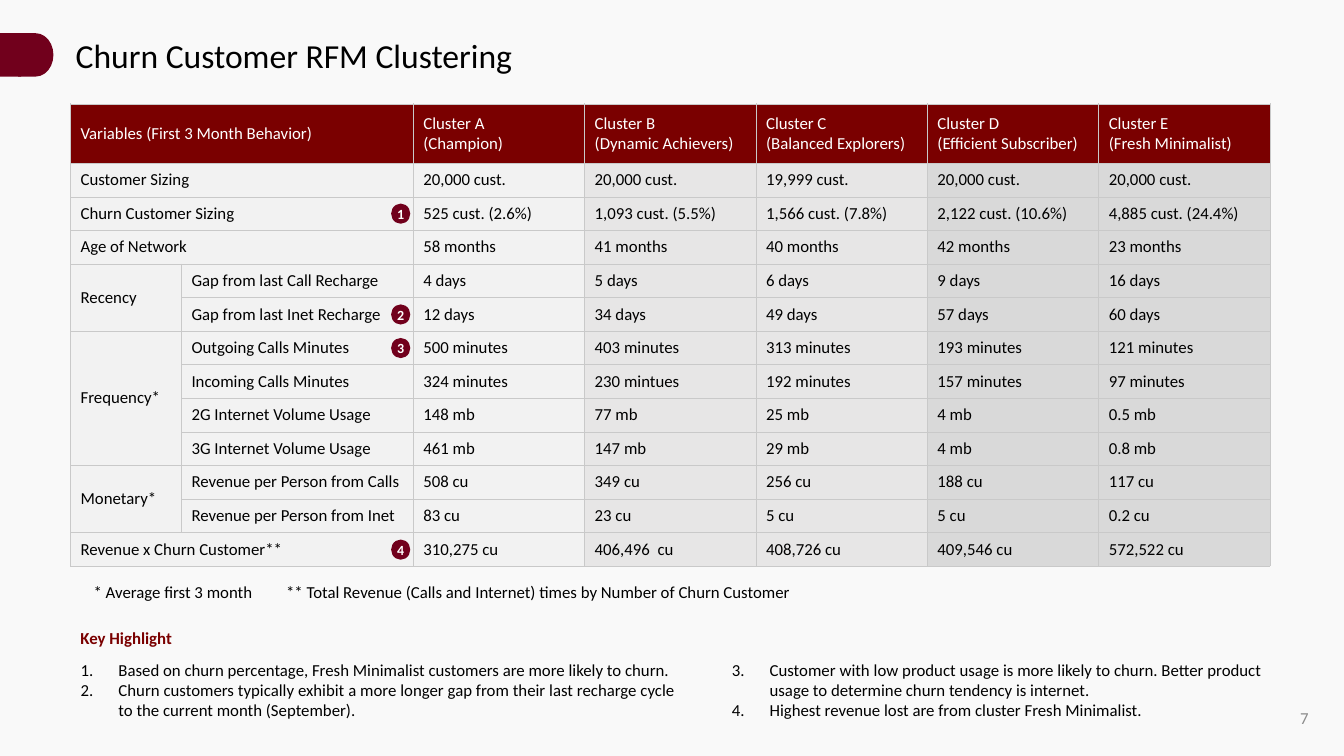
import pptx
import pptx.dml.color
import pptx.enum.shapes
import pptx.enum.text
import pptx.oxml
import pptx.oxml.ns
import pptx.util

SHAPE = pptx.enum.shapes.MSO_SHAPE
ALIGN = pptx.enum.text.PP_ALIGN
ANCHOR = pptx.enum.text.MSO_ANCHOR
FIT = pptx.enum.text.MSO_AUTO_SIZE
NS = pptx.oxml.ns.nsdecls("a")

BLACK, WHITE, PAPER, GREY = "000000", "FFFFFF", "F9F9F9", "8C8C8C"
WINE, RED, EDGE = "71001C", "7A0000", "C9C9C9"
TINTS = ["F2F2F2"] * 3 + ["E7E6E6"] * 2 + ["D9D9D9"] * 2

# All lengths are in grid steps of a tenth of an inch.
LEFT, TOP, HEAD, ROW = 7, 10.3, 5.9, 10 / 3
COLS = [11, 23] + [17] * 5

# Group, label, then one value per cluster.
# No label: the group spans both columns. No group: it continues from above.
ROWS = [
    ("Variables (First 3 Month Behavior)", "", "Cluster A\n(Champion)",
     "Cluster B\n(Dynamic Achievers)", "Cluster C\n(Balanced Explorers)",
     "Cluster D\n(Efficient Subscriber)", "Cluster E\n(Fresh Minimalist)"),
    ("Customer Sizing", "", "20,000 cust.", "20,000 cust.", "19,999 cust.",
     "20,000 cust.", "20,000 cust."),
    ("Churn Customer Sizing", "", "525 cust. (2.6%)", "1,093 cust. (5.5%)",
     "1,566 cust. (7.8%)", "2,122 cust. (10.6%)", "4,885 cust. (24.4%)"),
    ("Age of Network", "", "58 months", "41 months", "40 months",
     "42 months", "23 months"),
    ("Recency", "Gap from last Call Recharge", "4 days", "5 days", "6 days",
     "9 days", "16 days"),
    ("", "Gap from last Inet Recharge", "12 days", "34 days", "49 days",
     "57 days", "60 days"),
    ("Frequency*", "Outgoing Calls Minutes", "500 minutes", "403 minutes",
     "313 minutes", "193 minutes", "121 minutes"),
    ("", "Incoming Calls Minutes", "324 minutes", "230 mintues",
     "192 minutes", "157 minutes", "97 minutes"),
    ("", "2G Internet Volume Usage", "148 mb", "77 mb", "25 mb", "4 mb", "0.5 mb"),
    ("", "3G Internet Volume Usage", "461 mb", "147 mb", "29 mb", "4 mb", "0.8 mb"),
    ("Monetary*", "Revenue per Person from Calls", "508 cu", "349 cu",
     "256 cu", "188 cu", "117 cu"),
    ("", "Revenue per Person from Inet", "83 cu", "23 cu", "5 cu", "5 cu", "0.2 cu"),
    ("Revenue x Churn Customer**", "", "310,275 cu", "406,496  cu",
     "408,726 cu", "409,546 cu", "572,522 cu"),
]
MARKS = {"1": 2, "2": 5, "3": 6, "4": 12}
LEFT_NOTES = [
    "Based on churn percentage, Fresh Minimalist customers are more likely to churn.",
    "Churn customers typically exhibit a more longer gap from their last "
    "recharge cycle to the current month (September).",
]
RIGHT_NOTES = [
    "Customer with low product usage is more likely to churn. "
    "Better product usage to determine churn tendency is internet.",
    "Highest revenue lost are from cluster Fresh Minimalist.",
]


def step(count):
    return pptx.util.Inches(count / 10)


def paint(fill, color):
    fill.solid()
    fill.fore_color.rgb = pptx.dml.color.RGBColor.from_string(color)


def write(frame, *lines, font="Calibri", size=12, color=BLACK, bold=False,
          align=ALIGN.LEFT):
    """Write one paragraph per line; a newline breaks within a paragraph."""
    for i, line in enumerate(lines):
        para = frame.add_paragraph() if i else frame.paragraphs[0]
        para.text = line
        para.alignment = align
        para.space_before = pptx.util.Pt(0)
        for run in para.runs:
            run.font.name, run.font.size = font, pptx.util.Pt(size)
            run.font.bold = bold
            paint(run.font.fill, color)


def edge(cell):
    for side in "LRTB":
        cell._tc.get_or_add_tcPr().append(pptx.oxml.parse_xml(
            f'<a:ln{side} {NS} w="6350"><a:solidFill>'
            f'<a:srgbClr val="{EDGE}"/></a:solidFill></a:ln{side}>'))


class Page:
    def __init__(self, deck):
        self.slide = deck.slides.add_slide(deck.slide_layouts.get_by_name("Two Content"))
        self.shapes = self.slide.shapes
        paint(self.slide.background.fill, PAPER)

    def hold(self, index, box, *lines, anchor=ANCHOR.TOP, **style):
        """Move and fill the placeholder at this index."""
        item = self.slide.placeholders[index]
        item.left, item.top, item.width, item.height = map(step, box)
        frame = item.text_frame
        frame.auto_size, frame.vertical_anchor = FIT.NONE, anchor
        write(frame, *lines, **style)
        return frame

    def list(self, index, box, lines, start):
        frame = self.hold(index, box, *lines, align=ALIGN.JUSTIFY)
        for para in frame.paragraphs:
            props = para._p.get_or_add_pPr()
            props.set("marL", str(step(3.75)))
            props.set("indent", str(-step(3.75)))
            props.append(pptx.oxml.parse_xml(
                f'<a:buFont {NS} typeface="+mj-lt"/>'))
            props.append(pptx.oxml.parse_xml(
                f'<a:buAutoNum {NS} type="arabicPeriod" startAt="{start}"/>'))

    def label(self, box, line, anchor=ANCHOR.TOP, **style):
        frame = self.shapes.add_textbox(*map(step, box)).text_frame
        frame.word_wrap, frame.vertical_anchor = True, anchor
        write(frame, line, **style)

    def block(self, kind, box):
        shape = self.shapes.add_shape(kind, *map(step, box))
        shape.shadow.inherit = False
        paint(shape.fill, WINE)
        shape.line.fill.background()
        return shape

    def mark(self, digit, row):
        mid = TOP + HEAD + (row - 0.5) * ROW
        frame = self.block(SHAPE.OVAL, (38.8, mid - 1, 1.9, 2)).text_frame
        frame.margin_left = frame.margin_right = 0
        frame.margin_top = frame.margin_bottom = 0
        frame.word_wrap, frame.vertical_anchor = False, ANCHOR.MIDDLE
        write(frame, digit, size=10, color=WHITE, bold=True, align=ALIGN.CENTER)

    def table(self, rows):
        high = HEAD + ROW * (len(rows) - 1)
        table = self.shapes.add_table(
            len(rows), len(COLS), *map(step, (LEFT, TOP, sum(COLS), high))).table
        table.horz_banding = False
        for col, width in zip(table.columns, COLS):
            col.width = step(width)
        for r, row in enumerate(rows):
            table.rows[r].height = step(ROW if r else HEAD)
            for c, text in enumerate(row):
                cell = table.cell(r, c)
                edge(cell)
                paint(cell.fill, TINTS[c] if r else RED)
                cell.vertical_anchor = ANCHOR.MIDDLE
                write(cell.text_frame, text, color=BLACK if r else WHITE)
            if not row[1]:
                table.cell(r, 0).merge(table.cell(r, 1))
            elif row[0]:
                end = r
                while not rows[end + 1][0]:
                    end += 1
                table.cell(r, 0).merge(table.cell(end, 0))


def main():
    deck = pptx.Presentation()
    deck.slide_width, deck.slide_height = step(133.33), step(75)
    page = Page(deck)
    page.hold(0, (6.5, 3, 121, 5), "Churn Customer RFM Clustering",
              anchor=ANCHOR.MIDDLE, size=24)
    page.block(SHAPE.FLOWCHART_DELAY, (1.8, 3.3, 3.5, 4.3))
    page.block(SHAPE.RECTANGLE, (0, 3.3, 2.1, 4.3))
    page.table(ROWS)
    for digit, row in MARKS.items():
        page.mark(digit, row)
    page.label((8.3, 57.2, 19.2, 3), "* Average first 3 month")
    page.label((27.4, 57.2, 61, 3),
               "** Total Revenue (Calls and Internet) times by Number of Churn Customer")
    page.label((LEFT, 61.8, 13.8, 3), "Key Highlight", color=RED, bold=True)
    page.list(1, (LEFT, 64.9, 61, 7.1), LEFT_NOTES, 1)
    page.list(2, (71.6, 64.9, 54.6, 7.1), RIGHT_NOTES, 3)
    page.label((108.3, 69.2, 22.5, 4), "7", anchor=ANCHOR.MIDDLE,
               color=GREY, align=ALIGN.RIGHT)
    deck.save("out.pptx")


if __name__ == "__main__":
    main()
